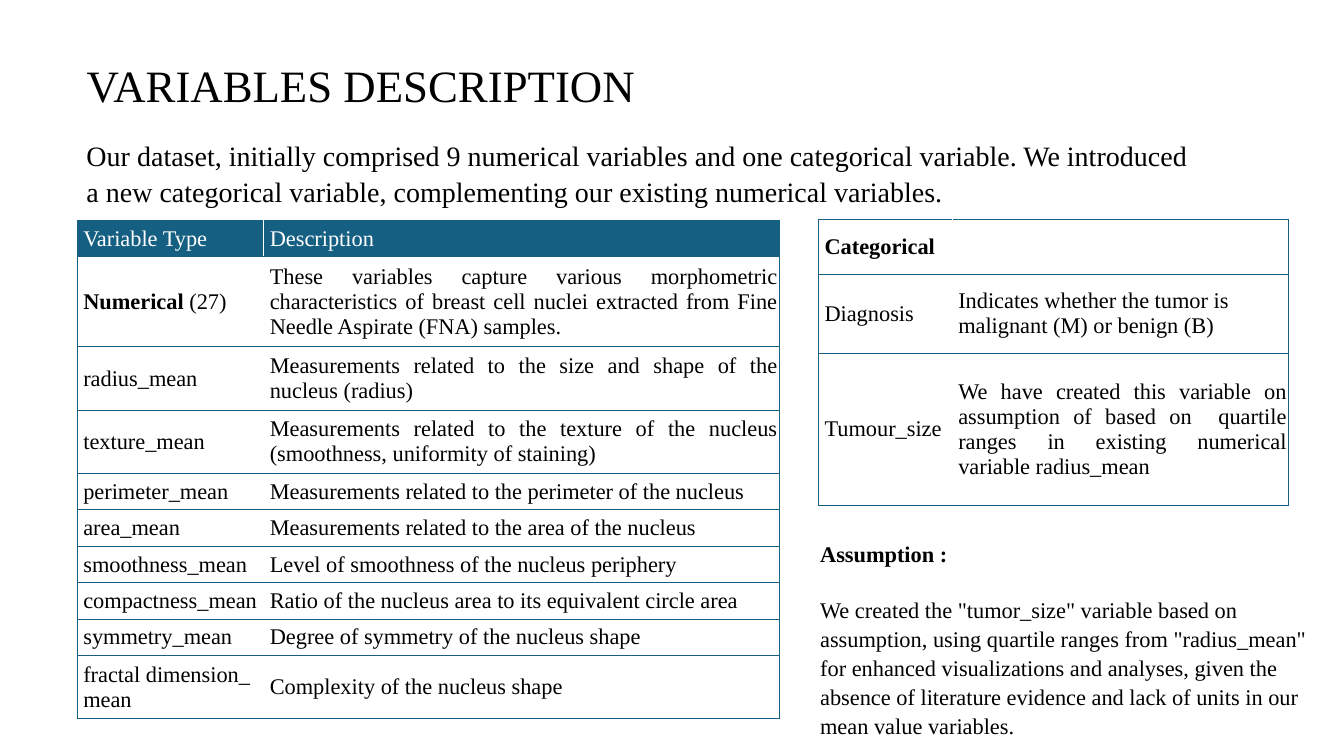
from pptx import Presentation
from pptx.dml.color import RGBColor
from pptx.enum.text import MSO_ANCHOR, PP_ALIGN
from pptx.oxml import parse_xml
from pptx.oxml.ns import nsdecls
from pptx.util import Cm, Pt

FONT = "Times New Roman"
BLUE, WHITE, BLACK = "156082", "FFFFFF", "000000"

TITLE = "VARIABLES DESCRIPTION"
INTRO = (
    "Our dataset, initially comprised 9 numerical variables and one categorical variable. "
    "We introduced a new categorical variable, complementing our existing numerical variables."
)
NUMERIC = [
    ("Variable Type", "Description", 1),
    ("Numerical (27)", "These variables capture various morphometric characteristics of breast "
     "cell nuclei extracted from Fine Needle Aspirate (FNA) samples.", 3),
    ("radius_mean", "Measurements related to the size and shape of the nucleus (radius)", 2),
    ("texture_mean", "Measurements related to the texture of the nucleus "
     "(smoothness, uniformity of staining)", 2),
    ("perimeter_mean", "Measurements related to the perimeter of the nucleus", 1),
    ("area_mean", "Measurements related to the area of the nucleus", 1),
    ("smoothness_mean", "Level of smoothness of the nucleus periphery", 1),
    ("compactness_mean", "Ratio of the nucleus area to its equivalent circle area", 1),
    ("symmetry_mean", "Degree of symmetry of the nucleus shape", 1),
    ("fractal dimension_\nmean", "Complexity of the nucleus shape", 2),
]
CATEGORY = [
    ("Categorical", "", 1.39),
    ("Diagnosis", "Indicates whether the tumor is malignant (M) or benign (B)", 2),
    ("Tumour_size", "We have created this variable on assumption of based on  quartile "
     "ranges in existing numerical variable radius_mean", 3.82),
]
NOTE = [
    "Assumption :",
    'We created the "tumor_size" variable based on assumption, using quartile ranges from '
    '"radius_mean" for enhanced visualizations and analyses, given the absence of literature '
    "evidence and lack of units in our mean value variables.",
]
BOLD = ("Numerical", "Categorical", "Assumption")
LINE, PAD = 0.62, 0.24


def paint(color):
    return RGBColor.from_string(color)


def write(frame, text, size, color=BLACK, align=PP_ALIGN.LEFT, space=1.0):
    frame.word_wrap = True
    frame.text = text
    for para in frame.paragraphs:
        para.alignment = align
        para.line_spacing = space
        para.font.name = FONT
        para.font.size = Pt(size)
        para.font.color.rgb = paint(color)
        para.font.bold = False
        for run in para.runs:
            run.font.name = FONT
            run.font.size = Pt(size)
            run.font.color.rgb = paint(color)
            run.font.bold = run.text.startswith(BOLD)


def edge(cell, side, color, width):
    cell._tc.get_or_add_tcPr().append(parse_xml(
        f'<a:ln{side} {nsdecls("a")} w="{Pt(width)}"><a:solidFill>'
        f'<a:srgbClr val="{color}"/></a:solidFill></a:ln{side}>'))


def grid(slide, rows, left, top, widths, highs, head, rules):
    shape = slide.shapes.add_table(
        len(rows), 2, Cm(left), Cm(top), Cm(sum(widths)), Cm(sum(highs)))
    table = shape.table
    table.first_row = table.horz_banding = False
    for col, width in zip(table.columns, widths):
        col.width = Cm(width)
    for r, (row, high) in enumerate(zip(rows, highs)):
        table.rows[r].height = Cm(high)
        for c, text in enumerate(row[:2]):
            cell = table.cell(r, c)
            cell.vertical_anchor = MSO_ANCHOR.MIDDLE
            cell.margin_left, cell.margin_right = Cm(0.15), Cm(0.05)
            cell.margin_top = cell.margin_bottom = Cm(0.12)
            for side in "LRTB":
                inner = side == "LR"[1 - c]
                edge(cell, side, WHITE if inner else BLUE, 1 if inner else 0.75)
            top_row = head and r == 0
            if top_row:
                cell.fill.solid()
                cell.fill.fore_color.rgb = paint(BLUE)
            else:
                cell.fill.background()
            write(cell.text_frame, text, 16, WHITE if top_row else BLACK, rules(r, c))
    return table


def box(slide, left, top, width, high, text, size):
    frame = slide.shapes.add_textbox(Cm(left), Cm(top), Cm(width), Cm(high)).text_frame
    write(frame, text, size, space=1.08)
    return frame


def main():
    deck = Presentation()
    deck.slide_width, deck.slide_height = Cm(33.87), Cm(19.05)
    slide = deck.slides.add_slide(deck.slide_layouts[5])

    title = slide.shapes.title
    title.left, title.top, title.width, title.height = Cm(1.93), Cm(1.32), Cm(17.68), Cm(3.17)
    title.text_frame.vertical_anchor = MSO_ANCHOR.TOP
    write(title.text_frame, TITLE, 32)

    box(slide, 1.93, 3.3, 28.35, 1.96, INTRO, 20)

    highs = [lines * LINE + PAD for *_, lines in NUMERIC]
    table = grid(slide, NUMERIC, 1.95, 5.55, (4.7, 13.0), highs, True,
                 lambda r, c: PP_ALIGN.JUSTIFY)
    para = table.cell(1, 0).text_frame.paragraphs[0]
    name, count = NUMERIC[1][0][:9], NUMERIC[1][0][9:]
    para.runs[0].text = name
    rest = para.add_run()
    rest.text = count
    rest.font.name, rest.font.size, rest.font.bold = FONT, Pt(16), False
    rest.font.color.rgb = paint(BLACK)

    grid(slide, CATEGORY, 20.63, 5.52, (3.37, 8.48), [row[2] for row in CATEGORY], False,
         lambda r, c: PP_ALIGN.JUSTIFY if (r, c) == (2, 1) else PP_ALIGN.LEFT)

    note = box(slide, 20.42, 13.44, 12.8, 5.05, "\n".join(NOTE), 16)
    note.paragraphs[1].space_before = Pt(19)

    deck.save("out.pptx")


if __name__ == "__main__":
    main()
